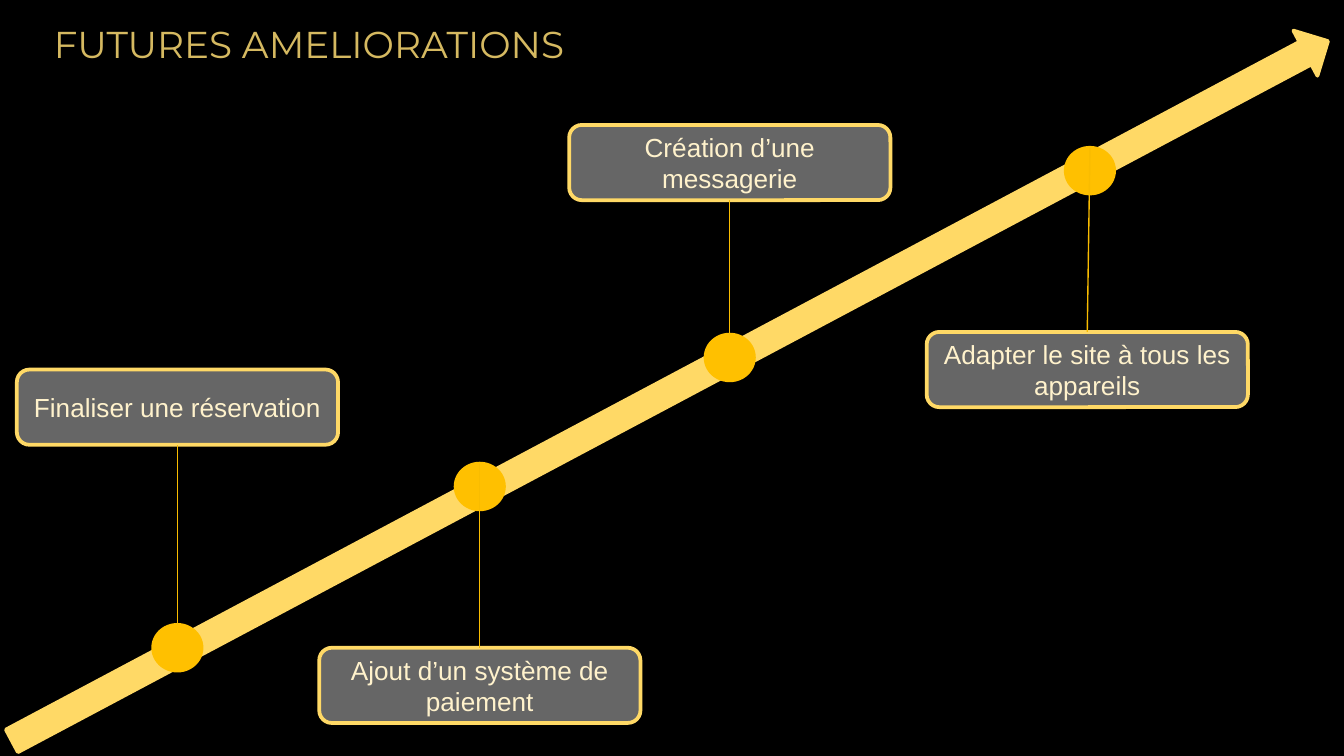
from lxml.etree import SubElement
from pptx import Presentation
from pptx.dml.color import RGBColor
from pptx.enum.shapes import MSO_CONNECTOR, MSO_SHAPE
from pptx.enum.text import MSO_ANCHOR, PP_ALIGN
from pptx.oxml.ns import qn
from pptx.util import Inches, Pt

BLACK = RGBColor(0x00, 0x00, 0x00)
TITLE_GOLD = RGBColor(0xD5, 0xB9, 0x61)
PALE_GOLD = RGBColor(0xFF, 0xD9, 0x66)
AMBER = RGBColor(0xFF, 0xC0, 0x00)
STEM_GOLD = RGBColor(0xF9, 0xBC, 0x00)
GRAY = RGBColor(0x66, 0x66, 0x66)
CREAM = RGBColor(0xFF, 0xF2, 0xCC)

TITLE = "FUTURES AMELIORATIONS"
# text, dot centre x, dot top, label centre x, label top
MILESTONES = [
    ("Finaliser une réservation", 1.32, 4.65, 1.32, 2.75),
    ("Ajout d’un système de paiement", 3.57, 3.45, 3.57, 4.82),
    ("Création d’une messagerie", 5.43, 2.49, 5.43, 0.93),
    ("Adapter le site à tous les appareils", 8.11, 1.1, 8.09, 2.47),
]
DOT_WIDTH, DOT_HEIGHT = 0.36, 0.34
LABEL_WIDTH, LABEL_HEIGHT = 2.39, 0.56


def add_shape(slide, kind, left, top, width, height, fill, line):
    shape = slide.shapes.add_shape(
        kind, Inches(left), Inches(top), Inches(width), Inches(height))
    shape.shadow.inherit = False
    shape.fill.solid()
    shape.fill.fore_color.rgb = fill
    shape.line.color.rgb = line
    shape.line.width = Pt(2)
    return shape


def write(shape, text, font_name, size, color, anchor):
    frame = shape.text_frame
    frame.word_wrap = True
    frame.vertical_anchor = anchor
    paragraph = frame.paragraphs[0]
    paragraph.text = text
    paragraph.alignment = PP_ALIGN.CENTER
    paragraph.font.name = font_name
    paragraph.font.size = Pt(size)
    paragraph.font.color.rgb = color


def add_stem(slide, start_x, start_y, end_x, end_y):
    stem = slide.shapes.add_connector(
        MSO_CONNECTOR.STRAIGHT,
        Inches(start_x), Inches(start_y), Inches(end_x), Inches(end_y))
    stem.line.color.rgb = STEM_GOLD
    stem.line.width = Pt(0.75)
    SubElement(stem._element.spPr, qn("a:effectLst"))


def add_milestone(slide, text, dot_x, dot_top, label_x, label_top):
    add_shape(slide, MSO_SHAPE.OVAL, dot_x - DOT_WIDTH / 2, dot_top,
              DOT_WIDTH, DOT_HEIGHT, AMBER, AMBER)
    label = add_shape(slide, MSO_SHAPE.ROUNDED_RECTANGLE,
                      label_x - LABEL_WIDTH / 2, label_top,
                      LABEL_WIDTH, LABEL_HEIGHT, GRAY, PALE_GOLD)
    write(label, text, "Arial", 14, CREAM, MSO_ANCHOR.MIDDLE)
    label_is_above = label_top < dot_top
    label_edge = label_top + LABEL_HEIGHT if label_is_above else label_top
    add_stem(slide, dot_x, dot_top, label_x, label_edge)


def main():
    presentation = Presentation()
    presentation.slide_width = Inches(10)
    presentation.slide_height = presentation.slide_width * 9 // 16
    slide = presentation.slides.add_slide(presentation.slide_layouts[6])
    slide.background.fill.solid()
    slide.background.fill.fore_color.rgb = BLACK

    arrow = add_shape(slide, MSO_SHAPE.RIGHT_ARROW, -0.56, 2.72, 11.09, 0.38,
                      PALE_GOLD, PALE_GOLD)
    arrow.rotation = 332

    title = slide.shapes.add_textbox(
        Inches(0.03), Inches(0.03), Inches(4.54), Inches(0.56))
    title.text_frame.margin_top = title.text_frame.margin_bottom = Inches(0.1)
    write(title, TITLE, "Montserrat", 20, TITLE_GOLD, MSO_ANCHOR.BOTTOM)

    for milestone in MILESTONES:
        add_milestone(slide, *milestone)

    presentation.save("out.pptx")


if __name__ == "__main__":
    main()
